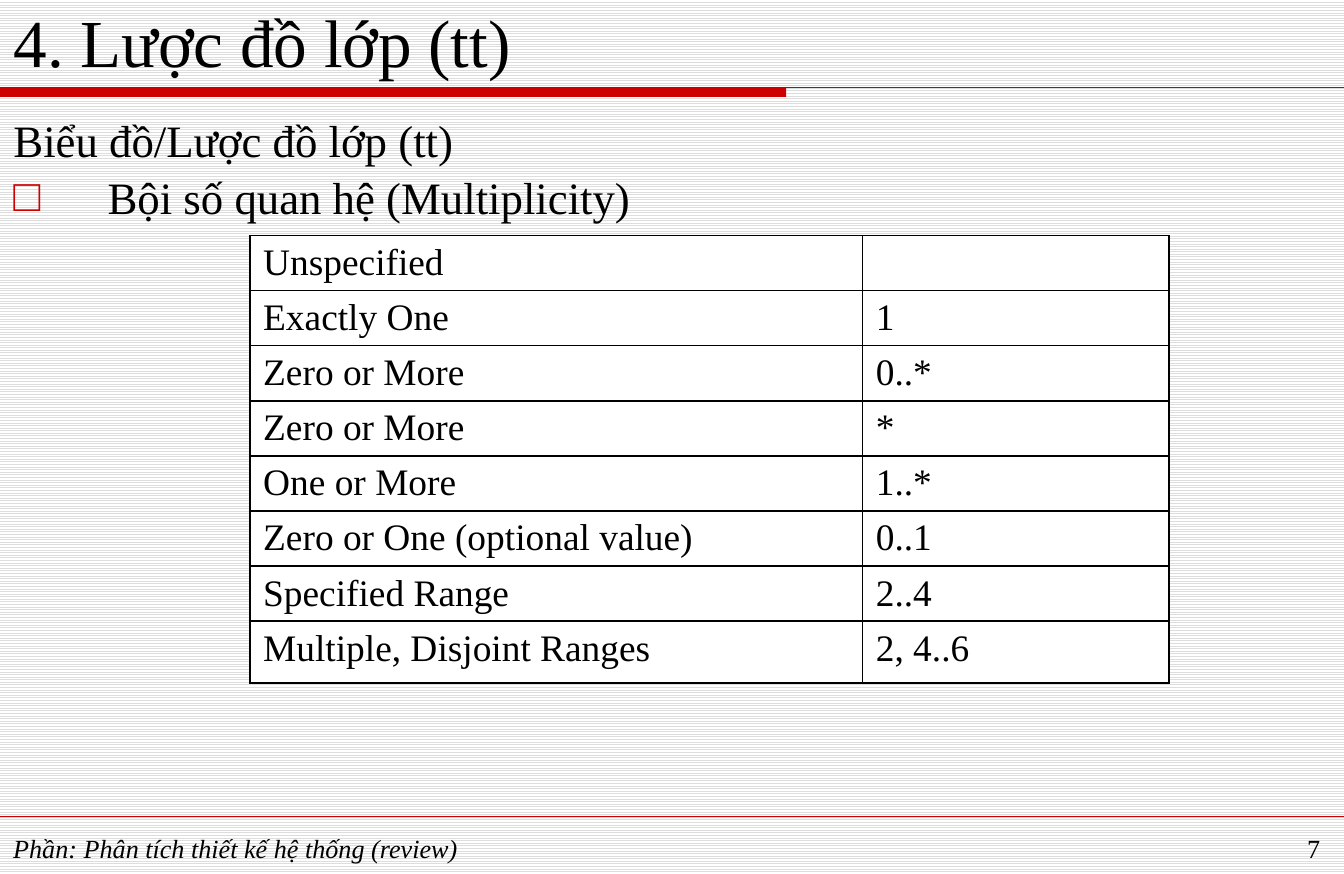
import pptx
import pptx.util
import pptx.dml.color
import pptx.enum.dml
import pptx.enum.shapes
import pptx.enum.text
import pptx.oxml.ns
from lxml import etree

Cm, Pt = pptx.util.Cm, pptx.util.Pt
RGBColor = pptx.dml.color.RGBColor
ALIGN = pptx.enum.text.PP_ALIGN
ANCHOR = pptx.enum.text.MSO_ANCHOR
qn = pptx.oxml.ns.qn

BLACK = RGBColor(0x00, 0x00, 0x00)
WHITE = RGBColor(0xFF, 0xFF, 0xFF)
RED = RGBColor(0xCC, 0x00, 0x00)
STRIPE = RGBColor(0xDD, 0xDD, 0xDD)
WIDTH, HEIGHT = 25.4, 16.51

MULTIPLICITIES = [
    ("Unspecified", ""),
    ("Exactly One", "1"),
    ("Zero or More", "0..*"),
    ("Zero or More", "*"),
    ("One or More", "1..*"),
    ("Zero or One (optional value)", "0..1"),
    ("Specified Range", "2..4"),
    ("Multiple, Disjoint Ranges", "2, 4..6"),
]


def write(p, text, size=20, italic=False, align=ALIGN.LEFT, before=0):
    """Put formatted text into a paragraph."""
    p.alignment = align
    p.space_before = Pt(before)
    r = p.add_run()
    r.text = text
    r.font.name = "Times New Roman"
    r.font.size = Pt(size)
    r.font.italic = italic
    r.font.color.rgb = BLACK


def set_bullet(p, char=None, indent=0):
    """Give a paragraph a red hanging bullet, or none."""
    pPr = p._p.get_or_add_pPr()
    pPr.set("marL", str(Cm(indent)))
    pPr.set("indent", str(-Cm(indent)))
    if char is None:
        etree.SubElement(pPr, qn("a:buNone"))
        return
    clr = etree.SubElement(pPr, qn("a:buClr"))
    etree.SubElement(clr, qn("a:srgbClr"), val=str(RED))
    etree.SubElement(pPr, qn("a:buFont"), typeface="Times New Roman")
    etree.SubElement(pPr, qn("a:buChar"), char=char)


def set_borders(cell, color, width):
    tcPr = cell._tc.get_or_add_tcPr()
    for side in ("lnL", "lnR", "lnT", "lnB"):
        ln = etree.SubElement(tcPr, qn(f"a:{side}"), w=str(Pt(width)))
        fill = etree.SubElement(ln, qn("a:solidFill"))
        etree.SubElement(fill, qn("a:srgbClr"), val=str(color))


class SlideBuilder:
    def __init__(self, prs):
        self.s = prs.slides.add_slide(prs.slide_layouts[1])

    def background(self):
        fill = self.s.background.fill
        fill.patterned()
        fill.pattern = pptx.enum.dml.MSO_PATTERN.LIGHT_HORIZONTAL
        fill.fore_color.rgb = STRIPE
        fill.back_color.rgb = WHITE

    def bar(self, left, top, width, height):
        sp = self.s.shapes.add_shape(
            pptx.enum.shapes.MSO_SHAPE.RECTANGLE,
            Cm(left), Cm(top), Cm(width), Cm(height))
        sp.shadow.inherit = False
        sp.fill.solid()
        sp.fill.fore_color.rgb = RED
        sp.line.fill.background()

    def rule(self, top, width):
        """Draw a line across the whole slide."""
        line = self.s.shapes.add_connector(
            pptx.enum.shapes.MSO_CONNECTOR.STRAIGHT,
            0, Cm(top), Cm(WIDTH), Cm(top))
        line.line.color.rgb = RED
        line.line.width = Pt(width)
        etree.SubElement(line._element.spPr, qn("a:effectLst"))

    def frame(self, sp, left, top, width, height, anchor=ANCHOR.TOP):
        """Place a text shape and return its text frame."""
        sp.left, sp.top = Cm(left), Cm(top)
        sp.width, sp.height = Cm(width), Cm(height)
        tf = sp.text_frame
        tf.word_wrap = True
        tf.auto_size = pptx.enum.text.MSO_AUTO_SIZE.NONE
        tf.vertical_anchor = anchor
        return tf

    def title(self, text, *box):
        tf = self.frame(self.s.shapes.title, *box, anchor=ANCHOR.BOTTOM)
        write(tf.paragraphs[0], text, size=36)

    def body(self, heading, item, *box):
        tf = self.frame(self.s.placeholders[1], *box)
        p = tf.paragraphs[0]
        write(p, heading, size=24, before=3)
        set_bullet(p)
        p = tf.add_paragraph()
        write(p, item, size=24, before=1.5)
        set_bullet(p, "□", 1.78)

    def text(self, text, *box, **style):
        sp = self.s.shapes.add_textbox(0, 0, 0, 0)
        write(self.frame(sp, *box).paragraphs[0], text, **style)

    def table(self, rows, left, top, widths, heights):
        table = self.s.shapes.add_table(
            len(rows), len(widths), Cm(left), Cm(top),
            Cm(sum(widths)), Cm(sum(heights))).table
        table.first_row = table.horz_banding = False
        for col, width in zip(table.columns, widths):
            col.width = Cm(width)
        for row, height, texts in zip(table.rows, heights, rows):
            row.height = Cm(height)
            for cell, text in zip(row.cells, texts):
                set_borders(cell, BLACK, 1)
                cell.fill.solid()
                cell.fill.fore_color.rgb = WHITE
                if text:
                    write(cell.text_frame.paragraphs[0], text)


def main():
    prs = pptx.Presentation()
    prs.slide_width, prs.slide_height = Cm(WIDTH), Cm(HEIGHT)
    slide = SlideBuilder(prs)

    # Background and rules
    slide.background()
    slide.bar(0, 1.65, 14.86, 0.18)
    slide.rule(1.65, 0.75)
    slide.rule(15.42, 0.25)

    # Title and body
    slide.title("4. Lược đồ lớp (tt)", 0, 0.18, WIDTH, 1.47)
    slide.body("Biểu đồ/Lược đồ lớp (tt)", "Bội số quan hệ (Multiplicity)",
               0, 2.01, WIDTH, 13.21)

    # Footer and page number
    slide.text("Phần: Phân tích thiết kế hệ thống (review)",
               0, 15.6, 20.75, 0.74, size=14, italic=True)
    slide.text("7", 22.66, 15.6, 2.54, 0.79, size=14, align=ALIGN.RIGHT)

    # Multiplicity table
    heights = [1.04] * (len(MULTIPLICITIES) - 1) + [1.17]
    slide.table(MULTIPLICITIES, 4.72, 4.45, [11.58, 5.79], heights)

    prs.save("out.pptx")


if __name__ == "__main__":
    main()
